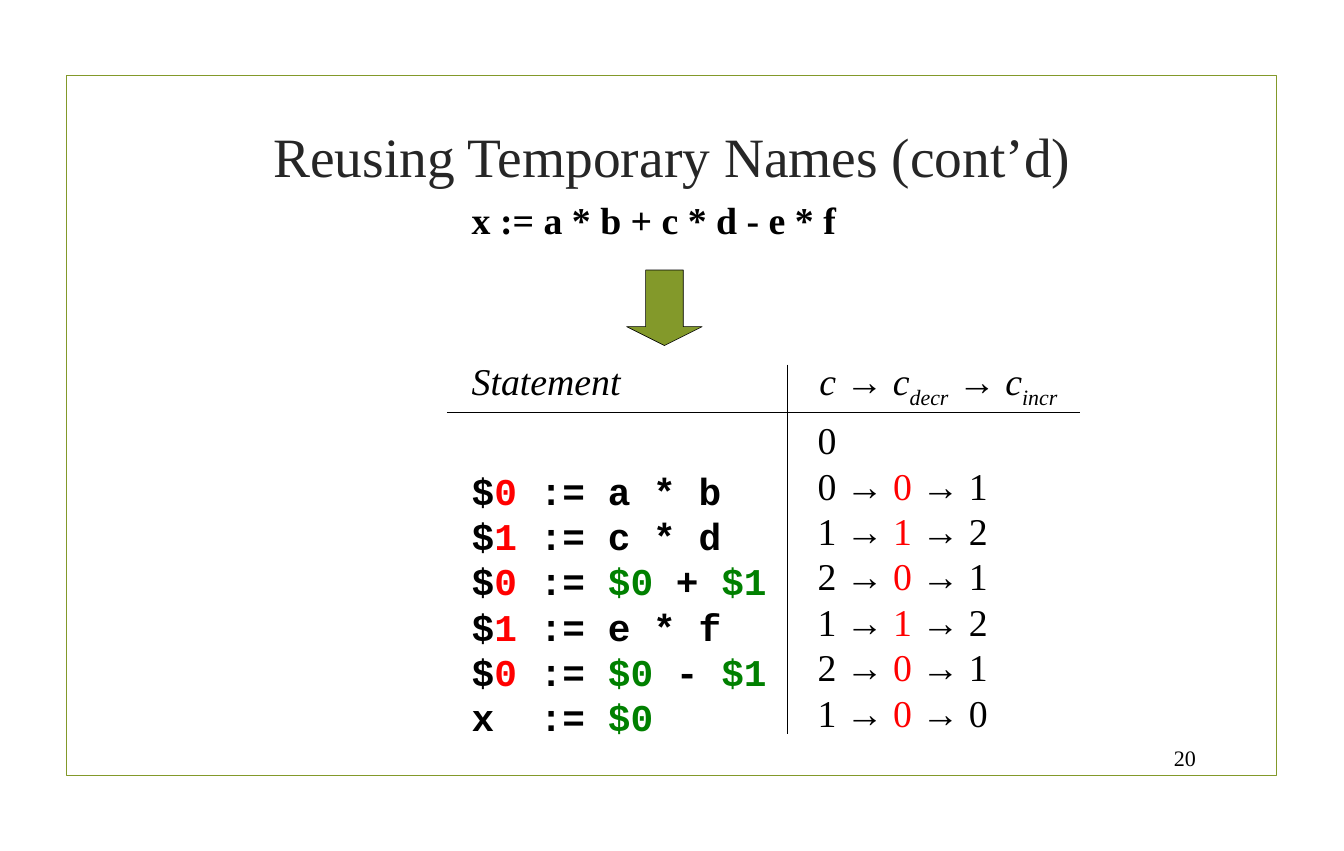
from dataclasses import dataclass
from typing import NamedTuple

from lxml.etree import SubElement
from pptx import Presentation
from pptx.dml.color import RGBColor
from pptx.enum.shapes import MSO_CONNECTOR, MSO_SHAPE
from pptx.enum.text import MSO_ANCHOR, PP_ALIGN
from pptx.oxml.ns import qn
from pptx.util import Cm, Pt


@dataclass(frozen=True)
class Theme:
    black: str = "000000"
    gray: str = "262626"
    red: str = "FF0000"
    green: str = "008000"
    olive: str = "83992A"
    serif: str = "Times New Roman"
    mono: str = "Courier New"
    title: float = 70.4
    body: float = 48
    small: float = 28
    pitch: float = 57.6


class Box(NamedTuple):
    left: float
    top: float
    width: float
    height: float


class Part(NamedTuple):
    text: str
    color: str = Theme.black
    italic: bool = False
    sub: bool = False


class Step(NamedTuple):
    code: str
    start: int
    decr: int
    incr: int


Line = list[Part]
look = Theme()

steps = [
    Step("$0 := a * b", 0, 0, 1),
    Step("$1 := c * d", 1, 1, 2),
    Step("$0 := $0 + $1", 2, 0, 1),
    Step("$1 := e * f", 1, 1, 2),
    Step("$0 := $0 - $1", 2, 0, 1),
    Step("x  := $0", 1, 0, 0),
]


def code_line(step: Step) -> Line:
    """Red target number, green operands."""
    name, value = step.code.split(":= ")
    parts = [Part(name[0])]
    if name[0] == "$":
        parts.append(Part(name[1], look.red))
    parts.append(Part(name[len(name.rstrip()):] + ":= "))
    for spot, word in enumerate(value.split(" ")):
        if spot:
            parts.append(Part(" "))
        parts.append(Part(word, look.green if word[0] == "$" else look.black))
    return parts


def count_line(step: Step) -> Line:
    return [Part(f"{step.start} → "), Part(str(step.decr), look.red),
            Part(f" → {step.incr}")]


def add_text(shapes, box: Box, lines: list[Line], size: float = look.body,
             face: str = look.serif, bold: bool = False, wrap: bool = False,
             align=PP_ALIGN.LEFT, anchor=MSO_ANCHOR.TOP, pitch: float = 0):
    frame = shapes.add_textbox(*map(Cm, box)).text_frame
    frame.word_wrap, frame.vertical_anchor = wrap, anchor
    para = frame.paragraphs[0]
    para.alignment = align
    if pitch:
        para.line_spacing = Pt(pitch)
    for row, line in enumerate(lines):
        if row:
            para.add_line_break()
        for part in line:
            run = para.add_run()
            run.text = part.text
            style = {"name": face, "size": Pt(size), "bold": bold,
                     "italic": part.italic}
            for key, value in style.items():
                setattr(run.font, key, value)
            run.font.color.rgb = RGBColor.from_string(part.color)
            if part.sub:
                run.font._element.set("baseline", "-25000")
    return frame


def add_rule(shapes, x1: float, y1: float, x2: float, y2: float) -> None:
    rule = shapes.add_connector(MSO_CONNECTOR.STRAIGHT,
                                *map(Cm, (x1, y1, x2, y2)))
    rule.line.color.rgb = RGBColor.from_string(look.black)
    rule.line.width = Pt(0.75)
    SubElement(rule._element.spPr, qn("a:effectLst"))


def add_solid(shapes, kind, box: Box, line: str, width: float, fill: str = ""):
    shape = shapes.add_shape(kind, *map(Cm, box))
    shape.shadow.inherit = False
    if fill:
        shape.fill.solid()
        shape.fill.fore_color.rgb = RGBColor.from_string(fill)
    else:
        shape.fill.background()
    shape.line.color.rgb = RGBColor.from_string(line)
    shape.line.width = Pt(width)
    return shape


def main() -> None:
    deck = Presentation()
    deck.slide_width, deck.slide_height = Cm(60.2), Cm(38.1)
    shapes = deck.slides.add_slide(deck.slide_layouts[6]).shapes

    # Frame, page number and title
    add_solid(shapes, MSO_SHAPE.RECTANGLE, Box(3, 3.38, 54.18, 31.32),
              look.olive, 1.25)
    add_text(shapes, Box(51.13, 33.17, 2.69, 1.55), [[Part("20")]],
             look.small, wrap=True, align=PP_ALIGN.RIGHT,
             anchor=MSO_ANCHOR.MIDDLE)
    add_text(shapes, Box(6.4, 5.46, 47.42, 3.02),
             [[Part("Reusing Temporary Names (cont’d)", look.gray)]],
             look.title, wrap=True, align=PP_ALIGN.CENTER,
             anchor=MSO_ANCHOR.MIDDLE)

    # Source expression and arrow
    left, head = 20.88, 15.9
    add_text(shapes, Box(left, 8.69, 16.99, 2.31),
             [[Part("x := a * b + c * d - e * f")]], bold=True)
    arrow = add_solid(shapes, MSO_SHAPE.RIGHT_ARROW,
                      Box(28.07, 12.09, 3.38, 3.38), look.black, 0.75,
                      look.olive)
    arrow.rotation = 90
    arrow.adjustments[0], arrow.adjustments[1] = 0.5, 0.25

    # Column heads and rules
    add_text(shapes, Box(left, head, 7.26, 2.31),
             [[Part("Statement", italic=True)]])
    add_text(shapes, Box(36.45, head, 11.79, 2.31), [[
        Part("c ", italic=True), Part("→ "),
        Part("c", italic=True), Part("decr", italic=True, sub=True),
        Part(" → "),
        Part("c", italic=True), Part("incr", italic=True, sub=True)]])
    add_rule(shapes, 20.02, 18.44, 48.39, 18.44)
    add_rule(shapes, 35.26, 16.33, 35.26, 32.84)

    # Statements and their counters
    code = add_text(shapes, Box(left, 20.57, 13.82, 12.57),
                    [code_line(step) for step in steps],
                    face=look.mono, bold=True, pitch=look.pitch)
    code.margin_top = Cm(0.35)
    add_text(shapes, Box(36.37, 18.54, 8.2, 14.63),
             [[Part("0")]] + [count_line(step) for step in steps],
             pitch=look.pitch)

    deck.save("out.pptx")


if __name__ == "__main__":
    main()
